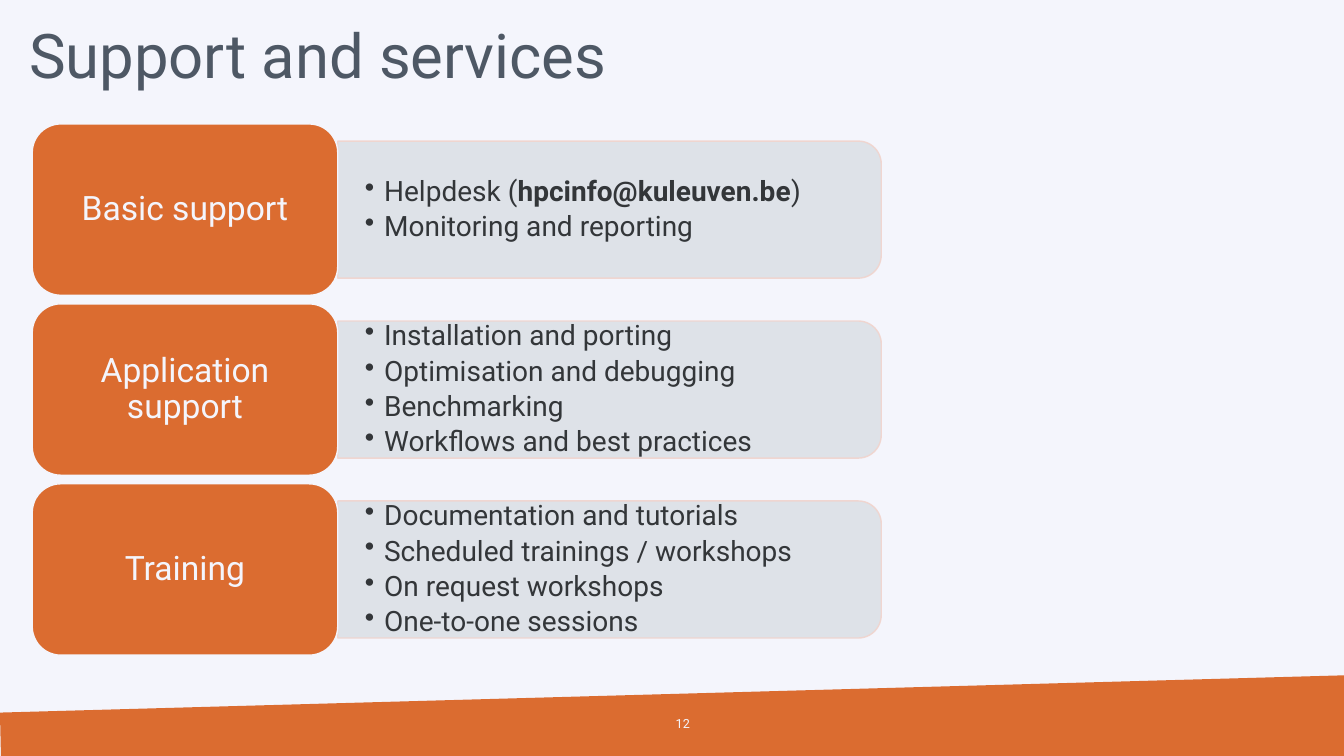
"""Build the slide on support and services."""
import pptx
import pptx.util
import pptx.dml.color
import pptx.enum.shapes
import pptx.enum.text
import pptx.oxml
import pptx.oxml.ns

TITLE = "Support and services"
PAGE_NUMBER = "12"
SERVICES = [
    ("Basic support", [
        [("Helpdesk (", False), ("hpcinfo@kuleuven.be", True), (")", False)],
        [("Monitoring and reporting", False)],
    ]),
    ("Application support", [
        [("Installation and porting", False)],
        [("Optimisation and debugging", False)],
        [("Benchmarking", False)],
        [("Workflows and best practices", False)],
    ]),
    ("Training", [
        [("Documentation and tutorials", False)],
        [("Scheduled trainings / workshops", False)],
        [("On request workshops", False)],
        [("One-to-one sessions", False)],
    ]),
]
COLORS = {"paper": "F4F5FC", "accent": "DB6C30", "title": "4E5865",
          "panel": "DCE0E6", "panel_edge": "F1D4CD", "body": "333639"}
FONT = "Roboto"
WIDTH, HEIGHT = 13.33, 7.5
LEFT, TOP, PITCH = 0.32, 1.23, 1.785
LABEL_W, LABEL_H = 3.03, 1.7
PANEL_W, PANEL_H = 5.39, 1.36
TEXT_W, TEXT_H = 5.33, 1.23
INDENT = 0.19
SHAPES = pptx.enum.shapes.MSO_SHAPE
ALIGN = pptx.enum.text.PP_ALIGN
Inches, Pt = pptx.util.Inches, pptx.util.Pt


def rgb(name):
    return pptx.dml.color.RGBColor.from_string(COLORS[name])


def apply(target, values):
    for name, value in values.items():
        setattr(target, name, value)


def paint(shape, fill, edge=None, alpha=None):
    shape.shadow.inherit = False
    shape.fill.solid()
    shape.fill.fore_color.rgb = rgb(fill)
    if edge is None:
        shape.line.fill.background()
    else:
        shape.line.color.rgb = rgb(edge)
        shape.line.width = Pt(1)
    if alpha:
        for color in shape.element.spPr.iter(pptx.oxml.ns.qn("a:srgbClr")):
            color.append(pptx.oxml.parse_xml(
                f'<a:alpha {pptx.oxml.ns.nsdecls("a")} val="{alpha * 1000}"/>'))


def add_part(page, kind, left, top, width, height):
    return page.shapes.add_shape(kind, *map(Inches, (left, top, width, height)))


def add_box(page, left, top, width, height):
    return page.shapes.add_textbox(*map(Inches, (left, top, width, height)))


def write(shape, paragraphs, size, color, align=ALIGN.LEFT, spacing=0.9,
          margins=(0.1, 0.05), bullets=False):
    frame = shape.text_frame
    across, down = map(Inches, margins)
    apply(frame, {"word_wrap": True,
                  "vertical_anchor": pptx.enum.text.MSO_ANCHOR.MIDDLE,
                  "margin_left": across, "margin_right": across,
                  "margin_top": down, "margin_bottom": down})
    for index, spans in enumerate(paragraphs):
        para = frame.add_paragraph() if index else frame.paragraphs[0]
        apply(para, {"alignment": align, "line_spacing": spacing})
        if bullets:
            para.space_after = Pt(3.5)
            properties = para._p.get_or_add_pPr()
            properties.set("marL", str(Inches(INDENT)))
            properties.set("indent", str(-Inches(INDENT)))
            properties.append(pptx.oxml.parse_xml(
                f'<a:buChar {pptx.oxml.ns.nsdecls("a")} char="•"/>'))
        for words, bold in spans:
            span = para.add_run()
            span.text = words
            apply(span.font, {"name": FONT, "size": Pt(size), "bold": bold})
            span.font.color.rgb = rgb(color)


def add_service(page, row, label, items):
    top = TOP + row * PITCH
    middle = top + LABEL_H / 2
    edge = LEFT + LABEL_W

    panel = add_part(page, SHAPES.ROUND_2_SAME_RECTANGLE,
                     edge + (PANEL_W - PANEL_H) / 2, middle - PANEL_W / 2,
                     PANEL_H, PANEL_W)
    panel.rotation = 90
    paint(panel, "panel", "panel_edge", alpha=90)

    box = add_box(page, edge, middle - TEXT_H / 2, TEXT_W, TEXT_H)
    write(box, items, 20, "body", margins=(0.27, 0.14), bullets=True)

    tile = add_part(page, SHAPES.ROUNDED_RECTANGLE, LEFT, top, LABEL_W, LABEL_H)
    paint(tile, "accent", "paper")
    write(tile, [[(label, False)]], 24, "paper", ALIGN.CENTER)


def main():
    deck = pptx.Presentation()
    deck.slide_width, deck.slide_height = Inches(WIDTH), Inches(HEIGHT)
    page = deck.slides.add_slide(deck.slide_layouts[6])
    page.background.fill.solid()
    page.background.fill.fore_color.rgb = rgb("paper")

    outline = page.shapes.build_freeform(0, Inches(7.07))
    corners = [(WIDTH, 6.7), (WIDTH, HEIGHT), (0.01, HEIGHT)]
    outline.add_line_segments([(Inches(x), Inches(y)) for x, y in corners])
    paint(outline.convert_to_shape(), "accent")

    write(add_box(page, 6.39, 6.98, 0.55, 0.4), [[(PAGE_NUMBER, False)]],
          9, "paper", ALIGN.RIGHT, spacing=1.0)
    write(add_box(page, 0.19, 0.06, 11.5, 1.04), [[(TITLE, False)]], 44, "title")

    for row, (label, items) in enumerate(SERVICES):
        add_service(page, row, label, items)
    deck.save("out.pptx")


if __name__ == "__main__":
    main()
